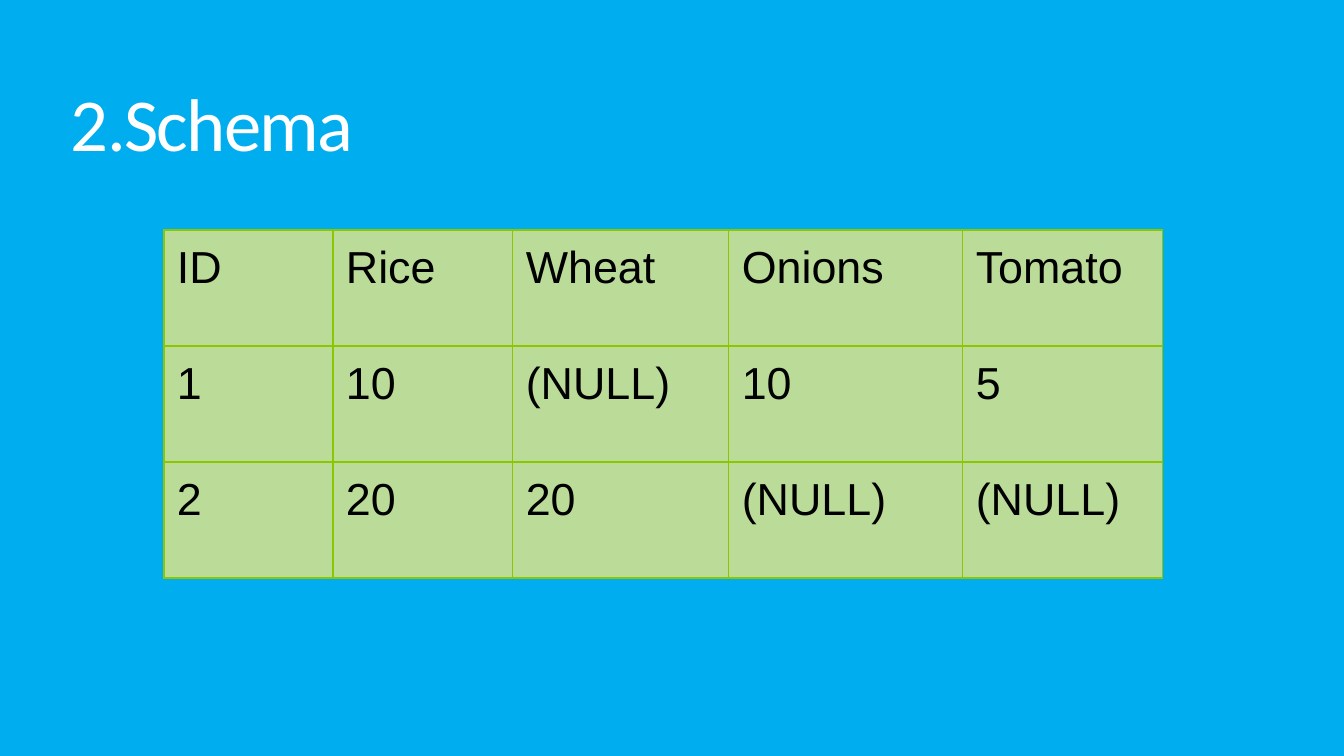
from dataclasses import dataclass

from lxml.etree import SubElement
from pptx import Presentation
from pptx.dml.color import RGBColor
from pptx.enum.text import MSO_ANCHOR
from pptx.oxml.ns import qn
from pptx.util import Emu, Pt

PX = 914400 / 134.4
INSET = 13

SKY = RGBColor(0x00, 0xAE, 0xEF)
WHITE = RGBColor(0xFF, 0xFF, 0xFF)
BLACK = RGBColor(0x00, 0x00, 0x00)
PALE_GREEN = RGBColor(0xBB, 0xDC, 0x98)
LIME = RGBColor(0x8C, 0xC6, 0x00)


@dataclass(frozen=True)
class Column:
    width: int
    texts: tuple[str, ...]


COLUMNS = (
    Column(169, ("ID", "1", "2")),
    Column(180, ("Rice", "10", "20")),
    Column(216, ("Wheat", "(NULL)", "20")),
    Column(234, ("Onions", "10", "(NULL)")),
    Column(200, ("Tomato", "5", "(NULL)")),
)
ROW_HEIGHT = 116


def px(n: int) -> Emu:
    return Emu(round(n * PX))


def set_insets(target) -> None:
    """Give a cell or text frame the same margin on all sides."""
    target.margin_left = target.margin_right = px(INSET)
    target.margin_top = target.margin_bottom = px(INSET)


def style_run(r, font: str, size: int, color: RGBColor) -> None:
    r.font.name = font
    r.font.size = Pt(size)
    r.font.bold = False
    r.font.color.rgb = color


def add_borders(cell, color: RGBColor, width: float) -> None:
    """Draw all four sides; call before the fill, which follows the lines."""
    tc_pr = cell._tc.get_or_add_tcPr()
    for side in ("a:lnL", "a:lnR", "a:lnT", "a:lnB"):
        ln = SubElement(tc_pr, qn(side), w=str(Pt(width)))
        fill = SubElement(ln, qn("a:solidFill"))
        SubElement(fill, qn("a:srgbClr"), val=str(color))


def add_title(s, text: str) -> None:
    tf = s.shapes.add_textbox(px(58), px(50), px(1210), px(129)).text_frame
    tf.word_wrap = True
    tf.vertical_anchor = MSO_ANCHOR.BOTTOM
    set_insets(tf)
    tf.text = text
    p = tf.paragraphs[0]
    p.line_spacing = 0.8
    r = p.runs[0]
    style_run(r, "Calibri", 40, WHITE)
    r.font._element.set("spc", "-90")


def add_schema_table(s, columns: tuple[Column, ...]) -> None:
    rows = len(columns[0].texts)
    width = sum(column.width for column in columns)
    table = s.shapes.add_table(rows, len(columns), px(164), px(230),
                               px(width), px(rows * ROW_HEIGHT)).table
    table.first_row = table.horz_banding = False
    for row in table.rows:
        row.height = px(ROW_HEIGHT)
    for i, column in enumerate(columns):
        table.columns[i].width = px(column.width)
        for j, text in enumerate(column.texts):
            cell = table.cell(j, i)
            set_insets(cell)
            add_borders(cell, LIME, 0.75)
            cell.fill.solid()
            cell.fill.fore_color.rgb = PALE_GREEN
            cell.text_frame.text = text
            style_run(cell.text_frame.paragraphs[0].runs[0], "Arial", 24, BLACK)


def main() -> None:
    prs = Presentation()
    prs.slide_width, prs.slide_height = px(1344), px(756)
    s = prs.slides.add_slide(prs.slide_layouts[6])
    s.background.fill.solid()
    s.background.fill.fore_color.rgb = SKY
    add_title(s, "2.Schema")
    add_schema_table(s, COLUMNS)
    prs.save("out.pptx")


if __name__ == "__main__":
    main()
